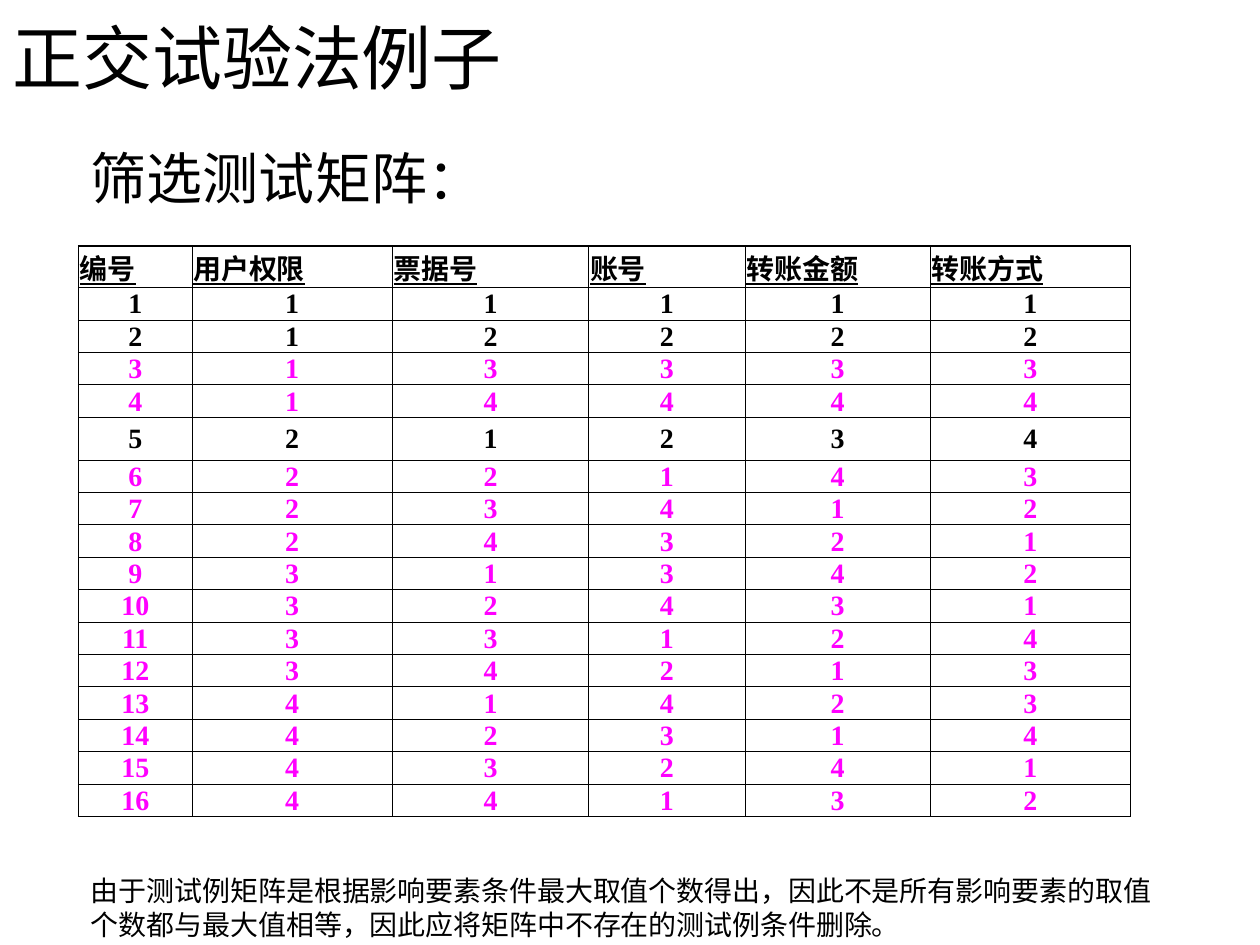
from lxml import etree
from pptx import Presentation
from pptx.dml.color import RGBColor
from pptx.enum.text import MSO_ANCHOR, MSO_AUTO_SIZE, PP_ALIGN
from pptx.oxml.ns import qn
from pptx.util import Pt

LEFT, CENTER = PP_ALIGN.LEFT, PP_ALIGN.CENTER
TOP, MIDDLE = MSO_ANCHOR.TOP, MSO_ANCHOR.MIDDLE
FIT_SHAPE, FIT_NONE = MSO_AUTO_SIZE.SHAPE_TO_FIT_TEXT, MSO_AUTO_SIZE.NONE

COLORS = {"text": "000000", "removed": "FF00FF", "border": "000000"}
BODY_FONT, HEADER_FONT, NUMBER_FONT = "Calibri", "Noto Sans CJK SC", "Times New Roman"

HEADERS = ["编号", "用户权限", "票据号", "账号", "转账金额", "转账方式"]
# One string per test case, one digit per factor level.
TEST_CASES = [
    "11111", "12222", "13333", "14444",
    "21234", "22143", "23412", "24321",
    "31342", "32431", "33124", "34213",
    "41423", "42314", "43241", "44132",
]
KEPT_CASES = {1, 2, 5}
COLUMN_WIDTHS = [64.8, 114.5, 112.3, 89.3, 105.8, 114.5]
ROW_HEIGHT, TALL_ROW, TALL_ROW_HEIGHT = 16.6, 5, 24.5


class SlideBuilder:
    def __init__(self, slide):
        self.slide = slide

    def run(self, paragraph, text, size, font, color="text", bold=False, underline=False):
        run = paragraph.add_run()
        run.text = text
        run.font.size = Pt(size)
        run.font.name = font
        run.font.bold = bold
        run.font.underline = underline
        run.font.color.rgb = RGBColor.from_string(COLORS[color])
        east_asian = etree.SubElement(run.font._element, qn("a:ea"))
        east_asian.set("typeface", font)

    def text(self, left, top, width, height, text, size, hanging=0, fit=FIT_NONE):
        """Add a text box; hanging is the indent of the lines after the first."""
        frame = self.slide.shapes.add_textbox(Pt(left), Pt(top), Pt(width), Pt(height)).text_frame
        frame.word_wrap = True
        frame.auto_size = fit
        frame.vertical_anchor = TOP
        paragraph = frame.paragraphs[0]
        paragraph.alignment = LEFT
        if hanging:
            properties = paragraph._p.get_or_add_pPr()
            properties.set("marL", str(Pt(hanging)))
            properties.set("indent", str(-Pt(hanging)))
        self.run(paragraph, text, size, BODY_FONT)

    def border(self, cell, side, width):
        line = etree.SubElement(cell._tc.get_or_add_tcPr(), qn(f"a:ln{side}"), w=str(Pt(width)))
        fill = etree.SubElement(line, qn("a:solidFill"))
        etree.SubElement(fill, qn("a:srgbClr"), val=COLORS["border"])

    def cell(self, cell, text, outer_sides, alignment, **style):
        """Fill one cell; outer_sides are the sides on the table's edge."""
        cell.margin_left = cell.margin_right = cell.margin_top = Pt(0.72)
        cell.margin_bottom = Pt(0)
        cell.vertical_anchor = MIDDLE
        for side in "LRTB":
            self.border(cell, side, 1 if side in outer_sides else 0.5)
        cell.fill.background()
        paragraph = cell.text_frame.paragraphs[0]
        paragraph.alignment = alignment
        self.run(paragraph, text, 16, bold=True, **style)

    def matrix(self, left, top, height):
        row_count, column_count = len(TEST_CASES) + 1, len(HEADERS)
        shape = self.slide.shapes.add_table(
            row_count, column_count, Pt(left), Pt(top), Pt(sum(COLUMN_WIDTHS)), Pt(height))
        table = shape.table
        table.first_row = table.horz_banding = False
        for column, width in zip(table.columns, COLUMN_WIDTHS):
            column.width = Pt(width)
        for index, row in enumerate(table.rows):
            row.height = Pt(TALL_ROW_HEIGHT if index == TALL_ROW else ROW_HEIGHT)
        shape.height = Pt(height)

        rows = [HEADERS] + [[str(n), *levels] for n, levels in enumerate(TEST_CASES, 1)]
        for row, values in enumerate(rows):
            if row == 0:
                style = dict(alignment=LEFT, font=HEADER_FONT, underline=True)
            else:
                color = "text" if row in KEPT_CASES else "removed"
                style = dict(alignment=CENTER, font=NUMBER_FONT, color=color)
            for column, value in enumerate(values):
                edges = {"L": column == 0, "R": column == column_count - 1,
                         "T": row == 0, "B": row == row_count - 1}
                outer_sides = [side for side, outer in edges.items() if outer]
                self.cell(table.cell(row, column), value, outer_sides, **style)


def main():
    presentation = Presentation()
    presentation.slide_width, presentation.slide_height = Pt(720), Pt(540)
    builder = SlideBuilder(presentation.slides.add_slide(presentation.slide_layouts[6]))

    builder.text(0, 5, 648, 52, "正交试验法例子", 40)
    builder.matrix(44.9, 140.6, 342.7)
    builder.text(44.9, 78.5, 648, 54, "筛选测试矩阵：", 32, hanging=27)
    builder.text(
        44.9, 495.6, 624.4, 46,
        "由于测试例矩阵是根据影响要素条件最大取值个数得出，因此不是所有影响要素的取值"
        "个数都与最大值相等，因此应将矩阵中不存在的测试例条件删除。",
        16, fit=FIT_SHAPE)
    presentation.save("out.pptx")


if __name__ == "__main__":
    main()
